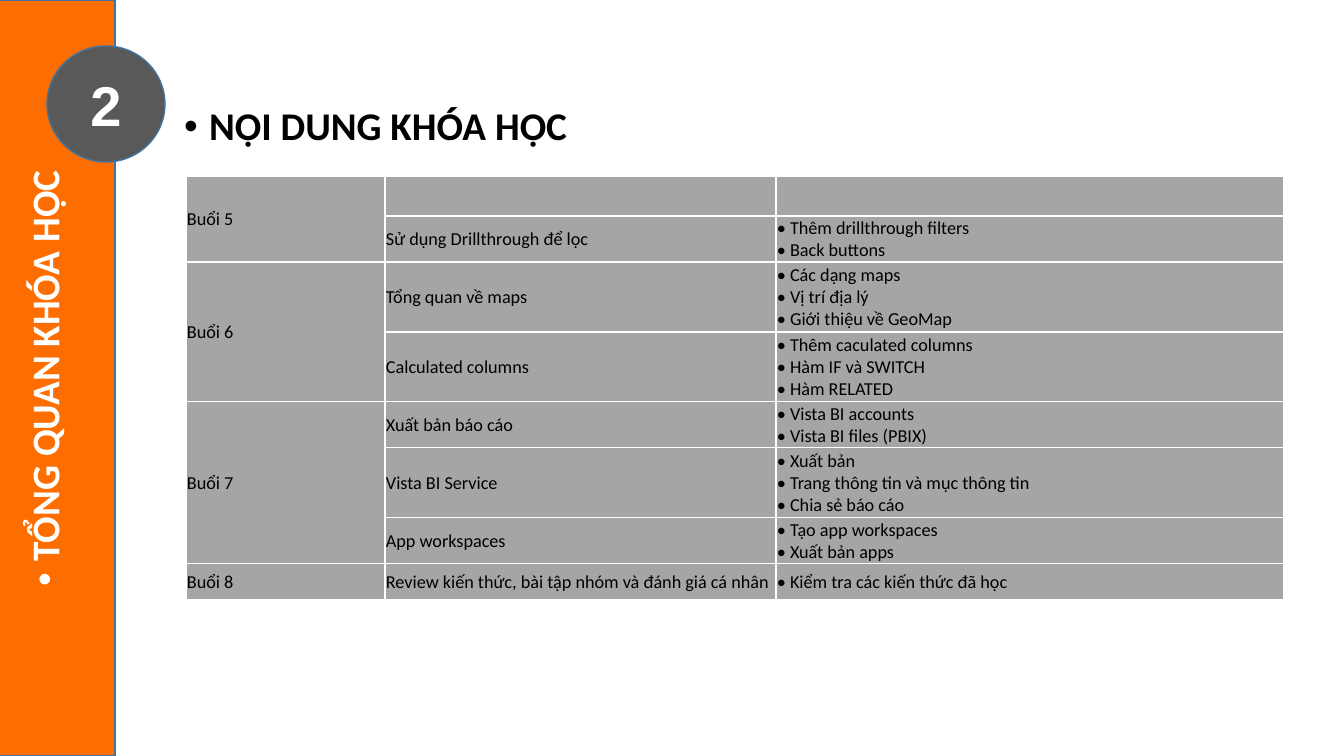
from dataclasses import dataclass

from lxml.etree import SubElement
from pptx import Presentation
from pptx.dml.color import RGBColor as Rgb
from pptx.enum.shapes import MSO_SHAPE as Shape
from pptx.enum.text import MSO_ANCHOR as Anchor, MSO_AUTO_SIZE as AutoSize, PP_ALIGN as Align
from pptx.oxml.ns import qn
from pptx.util import Pt

EMU_PER_PX = 914400 / 100.8


@dataclass(frozen=True)
class Theme:
    accent: str = "FE6D00"
    badge: str = "595959"
    outline: str = "43739E"
    cell: str = "A5A5A5"
    dark: str = "000000"
    light: str = "FFFFFF"
    body_font: str = "Calibri"
    badge_font: str = "Arial"
    heading_size: int = 28
    badge_size: int = 40
    cell_size: int = 13


THEME = Theme()

# Each session holds its topics, each with its points.
SESSIONS = [
    ("Buổi 5", [
        ("", []),
        ("Sử dụng Drillthrough để lọc", ["Thêm drillthrough filters", "Back buttons"]),
    ]),
    ("Buổi 6", [
        ("Tổng quan về maps", ["Các dạng maps", "Vị trí địa lý", "Giới thiệu về GeoMap"]),
        ("Calculated columns", ["Thêm caculated columns", "Hàm IF và SWITCH", "Hàm RELATED"]),
    ]),
    ("Buổi 7", [
        ("Xuất bản báo cáo", ["Vista BI accounts", "Vista BI files (PBIX)"]),
        ("Vista BI Service",
         ["Xuất bản", "Trang thông tin và mục thông tin", "Chia sẻ báo cáo"]),
        ("App workspaces", ["Tạo app workspaces", "Xuất bản apps"]),
    ]),
    ("Buổi 8", [
        ("Review kiến thức, bài tập nhóm và đánh giá cá nhân",
         ["Kiểm tra các kiến thức đã học"]),
    ]),
]
COLUMN_WIDTHS = (199, 391, 508)
ROW_HEIGHTS = {0: 40, 1: 36, 2: 46, 3: 70}  # by number of points


def px(length):
    return round(length * EMU_PER_PX)


def box_emu(box):
    return [px(length) for length in box]


def style_font(paragraph, size, color, name=THEME.body_font, bold=False):
    font = paragraph.font if not paragraph.runs else None
    for target in [font] if font else [run.font for run in paragraph.runs]:
        target.size, target.name, target.bold = Pt(size), name, bold
        target.color.rgb = Rgb.from_string(color)


def add_panel(slide, kind, box, color):
    panel = slide.shapes.add_shape(kind, *box_emu(box))
    panel.shadow.inherit = False
    panel.fill.solid()
    panel.fill.fore_color.rgb = Rgb.from_string(color)
    panel.line.color.rgb = Rgb.from_string(THEME.outline)
    panel.line.width = Pt(1)
    return panel


def write_bulleted_heading(frame, text, color, align):
    frame.text = text
    frame.word_wrap = True
    frame.auto_size = AutoSize.NONE
    frame.vertical_anchor = Anchor.TOP
    heading = frame.paragraphs[0]
    heading.alignment = align
    heading.line_spacing = 0.9
    heading.space_before = Pt(10)
    style_font(heading, THEME.heading_size, color, bold=True)
    properties = heading._p.get_or_add_pPr()
    properties.set("marL", str(px(25)))
    properties.set("indent", str(-px(25)))
    SubElement(properties, qn("a:buFont"), typeface="Arial")
    SubElement(properties, qn("a:buChar"), char="•")


def add_sidebar(slide, box):
    left, top, width, height = box
    add_panel(slide, Shape.RECTANGLE, box, THEME.accent)

    badge = add_panel(slide, Shape.OVAL, (left + 53, top + 46, 118, 116), THEME.badge)
    badge.text_frame.text = "2"
    badge.text_frame.vertical_anchor = Anchor.MIDDLE
    number = badge.text_frame.paragraphs[0]
    number.alignment = Align.CENTER
    style_font(number, THEME.badge_size, THEME.light, THEME.badge_font, bold=True)

    section = slide.shapes.add_textbox(*box_emu((left - 168, top + 344, 458, 69)))
    section.rotation = 270
    write_bulleted_heading(section.text_frame, "TỔNG QUAN KHÓA HỌC", THEME.light, Align.CENTER)


def place_title(slide, box):
    title = slide.shapes.title
    title.left, title.top, title.width, title.height = box_emu(box)
    write_bulleted_heading(title.text_frame, "NỘI DUNG KHÓA HỌC", THEME.dark, Align.LEFT)


def style_cell(cell):
    properties = cell._tc.get_or_add_tcPr()
    for side in ("lnL", "lnR", "lnT", "lnB"):
        border = SubElement(properties, qn(f"a:{side}"), w=str(Pt(1)))
        SubElement(SubElement(border, qn("a:solidFill")), qn("a:srgbClr"), val=THEME.light)
    cell.fill.solid()
    cell.fill.fore_color.rgb = Rgb.from_string(THEME.cell)
    cell.vertical_anchor = Anchor.MIDDLE
    cell.margin_left = cell.margin_right = cell.margin_top = px(1)
    cell.margin_bottom = 0
    style_font(cell.text_frame.paragraphs[0], THEME.cell_size, THEME.dark)


def add_schedule(slide, left, top):
    topics = [topic for _, session_topics in SESSIONS for topic in session_topics]
    heights = [ROW_HEIGHTS[len(points)] for _, points in topics]
    box = (left, top, sum(COLUMN_WIDTHS), sum(heights))
    schedule = slide.shapes.add_table(len(topics), len(COLUMN_WIDTHS), *box_emu(box)).table
    schedule.first_row = schedule.horz_banding = False
    for column, width in zip(schedule.columns, COLUMN_WIDTHS):
        column.width = px(width)
    for row, height in zip(schedule.rows, heights):
        row.height = px(height)

    for index, (topic, points) in enumerate(topics):
        schedule.cell(index, 1).text_frame.text = topic
        point_lines = "\v".join(f"• {point}" for point in points)
        schedule.cell(index, 2).text_frame.paragraphs[0].text = point_lines

    first = 0
    for session, session_topics in SESSIONS:
        last = first + len(session_topics) - 1
        schedule.cell(first, 0).text_frame.text = session
        if last > first:
            schedule.cell(first, 0).merge(schedule.cell(last, 0))
        first = last + 1

    for cell in schedule.iter_cells():
        style_cell(cell)


def main():
    deck = Presentation()
    deck.slide_width, deck.slide_height = px(1344), px(756)
    slide = deck.slides.add_slide(deck.slide_layouts[5])
    add_sidebar(slide, (-6, 0, 121, 756))
    place_title(slide, (174, 102, 1121, 537))
    add_schedule(slide, 186, 176)
    deck.save("out.pptx")


if __name__ == "__main__":
    main()
